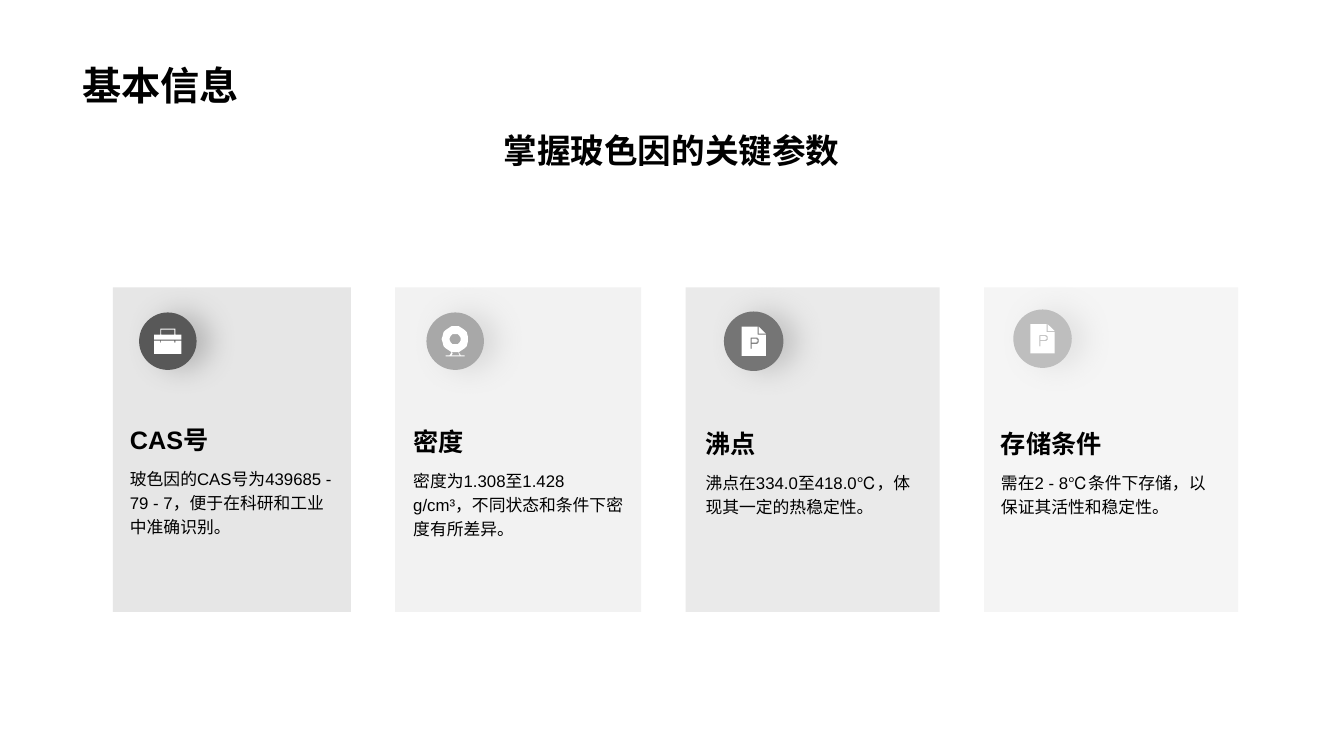
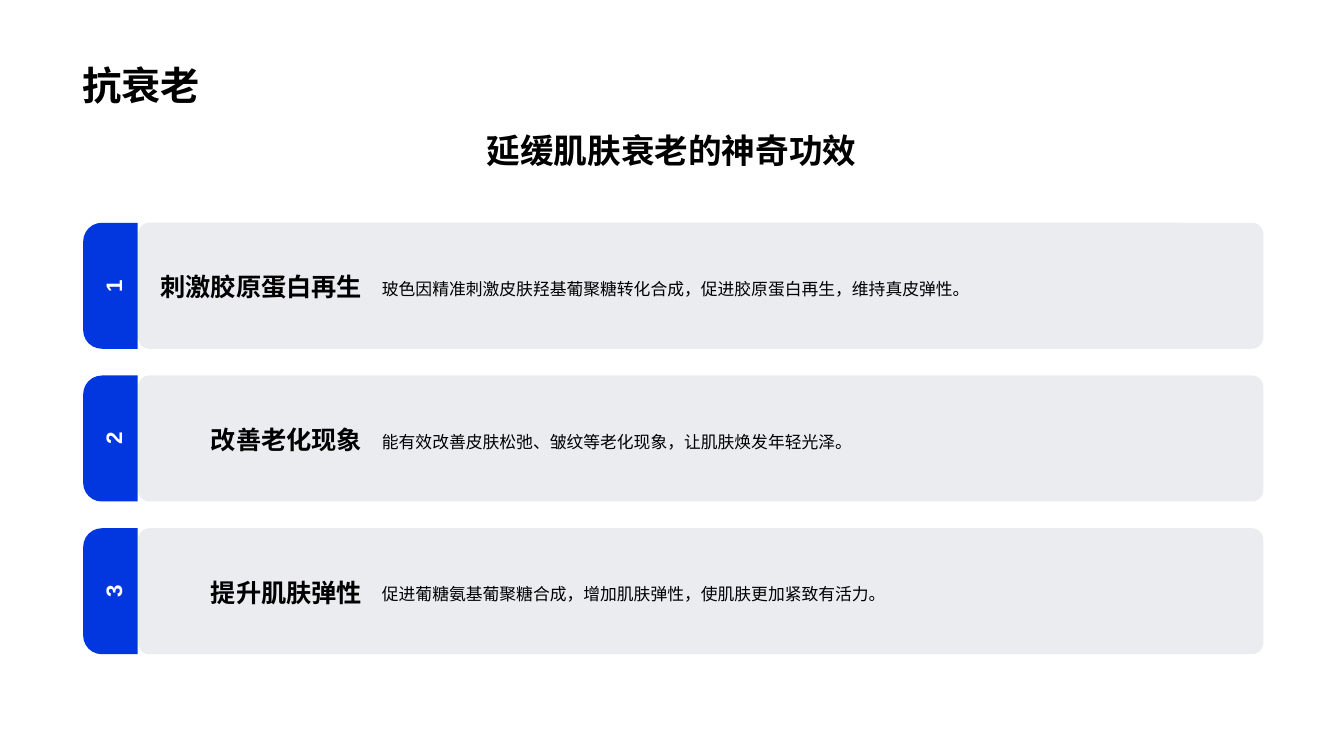
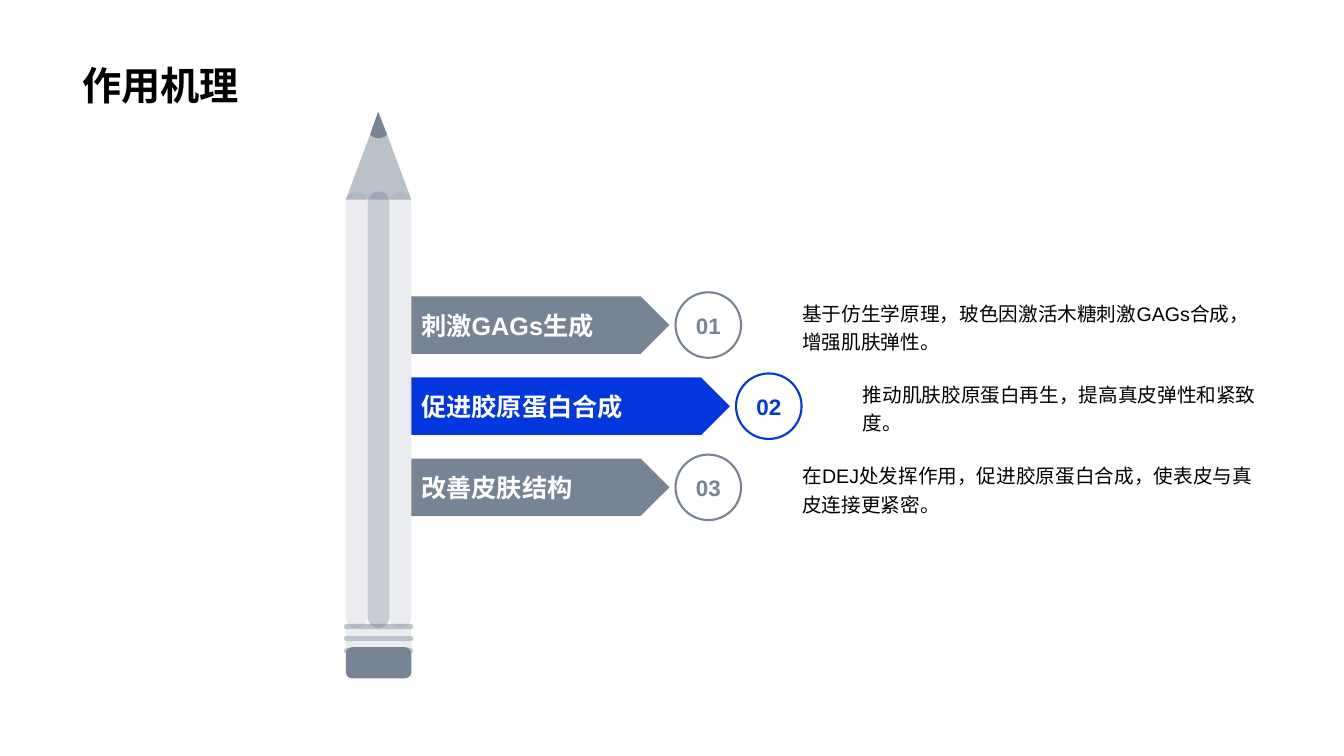
import math

import pptx
import pptx.dml.color
import pptx.enum.shapes
import pptx.enum.text
import pptx.oxml.ns
import pptx.util
from lxml import etree

Inches = pptx.util.Inches
Pt = pptx.util.Pt
SHAPE = pptx.enum.shapes.MSO_SHAPE
ALIGN = pptx.enum.text.PP_ALIGN
ANCHOR = pptx.enum.text.MSO_ANCHOR
qn = pptx.oxml.ns.qn

FONT = "Arial"
COLORS = {
    "text": "000000", "white": "FFFFFF", "blue": "0236DE", "slate": "778495",
    "gray1": "585858", "gray2": "A8A8A8", "gray3": "757575", "gray4": "BEBEBE",
}

# Content
INFO_TITLE, INFO_SUBTITLE = "基本信息", "掌握玻色因的关键参数"
# heading, body, colour, icon, card width, text (dx, top, width), badge (dx, top, size)
INFO_CARDS = [
    ("CAS号", "玻色因的CAS号为439685 - 79 - 7，便于在科研和工业中准确识别。",
     "gray1", "briefcase", 2.36, (0.07, 3.97, 2.22), (0.26, 3.1, 0.57)),
    ("密度", "密度为1.308至1.428 g/cm³，不同状态和条件下密度有所差异。",
     "gray2", "webcam", 2.44, (0.08, 3.99, 2.29), (0.31, 3.1, 0.57)),
    ("沸点", "沸点在334.0至418.0℃，体现其一定的热稳定性。",
     "gray3", "document", 2.52, (0.1, 4.01, 2.34), (0.38, 3.09, 0.59)),
    ("存储条件", "需在2 - 8℃条件下存储，以保证其活性和稳定性。",
     "gray4", "document", 2.52, (0.07, 4.01, 2.37), (0.29, 3.07, 0.58)),
]

AGING_TITLE, AGING_SUBTITLE = "抗衰老", "延缓肌肤衰老的神奇功效"
AGING_ROWS = [
    ("刺激胶原蛋白再生", "玻色因精准刺激皮肤羟基葡聚糖转化合成，促进胶原蛋白再生，维持真皮弹性。"),
    ("改善老化现象", "能有效改善皮肤松弛、皱纹等老化现象，让肌肤焕发年轻光泽。"),
    ("提升肌肤弹性", "促进葡糖氨基葡聚糖合成，增加肌肤弹性，使肌肤更加紧致有活力。"),
]

MECHANISM_TITLE = "作用机理"
# label, body, colour, arrow width
MECHANISM_STEPS = [
    ("刺激GAGs生成", "基于仿生学原理，玻色因激活木糖刺激GAGs合成，增强肌肤弹性。", "slate", 2.56),
    ("促进胶原蛋白合成", "推动肌肤胶原蛋白再生，提高真皮弹性和紧致度。", "blue", 3.16),
    ("改善皮肤结构", "在DEJ处发挥作用，促进胶原蛋白合成，使表皮与真皮连接更紧密。", "slate", 2.56),
]


def arc(cx, cy, r, start, end, steps=24):
    """Points on an arc, angles in degrees."""
    angles = [math.radians(start + (end - start) * i / steps) for i in range(steps + 1)]
    return [(cx + r * math.cos(a), cy + r * math.sin(a)) for a in angles]


# Outlines in hundredths of an inch; inner contours are holes
ICONS = {
    "briefcase": (27, 25, [
        [(6, 12), (6, 14), (7, 14), (7, 12), (20, 12), (20, 14), (21, 14), (21, 12),
         (27, 12), (27, 25), (0, 25), (0, 12)],
        [(21, 0), (21, 6), (27, 6), (27, 11), (0, 11), (0, 6), (6, 6), (6, 0)],
        [(20, 1), (7, 1), (7, 6), (20, 6)],
    ]),
    "webcam": (27, 30, [
        arc(13.5, 13, 13, 0, 360),
        arc(13.5, 13, 5.5, 0, 360),
        [(10, 26), (8, 29), (4, 29), (4, 30), (23, 30), (23, 29), (19, 29), (17, 26),
         (17, 27), (18, 29), (10, 29), (11, 27)],
    ]),
    "document": (24, 29, [
        [(16, 0), (16, 8), (24, 8), (24, 29), (0, 29), (0, 0)],
        [(9, 11), (9, 22), (10, 22), (10, 17)] + arc(14, 14, 3, 90, -90),
        [(10, 12)] + arc(14, 14, 2, -90, 90) + [(10, 16)],
        [(24, 7), (17, 7), (17, 0)],
    ]),
}
PENCIL_TIP = [[(8.5, 0)] + arc(8.5, 12.46, 13.54, 128.9, 51.1)]


# Shared drawing helpers
def rgb(color):
    return pptx.dml.color.RGBColor.from_string(COLORS[color])


def paint(sp, color, alpha=100, line=None):
    sp.fill.solid()
    sp.fill.fore_color.rgb = rgb(color)
    if alpha < 100:
        clr = sp.fill._xPr.find(".//" + qn("a:srgbClr"))
        etree.SubElement(clr, qn("a:alpha"), val=str(alpha * 1000))
    if line:
        sp.line.color.rgb = rgb(line)
        sp.line.width = Pt(1.5)
    else:
        sp.line.fill.background()
    sp.shadow.inherit = False
    return sp


def add_shape(slide, kind, x, y, w, h, color, alpha=100, line=None, adj=()):
    sp = slide.shapes.add_shape(kind, Inches(x), Inches(y), Inches(w), Inches(h))
    for i, value in enumerate(adj):
        sp.adjustments[i] = value
    return paint(sp, color, alpha, line)


def add_outline(slide, contours, x, y, color):
    builder = slide.shapes.build_freeform(*contours[0][0], scale=Inches(0.01))
    for i, points in enumerate(contours):
        if i:
            builder.move_to(*points[0])
        builder.add_line_segments(points[1:], close=True)
    return paint(builder.convert_to_shape(Inches(x), Inches(y)), color)


def add_glow(sp, color):
    effects = sp._element.spPr.find(qn("a:effectLst"))
    shadow = etree.SubElement(effects, qn("a:outerShdw"), blurRad=str(Pt(20)),
                              dist=str(Pt(10)), dir="0", algn="l", rotWithShape="0")
    clr = etree.SubElement(shadow, qn("a:srgbClr"), val=COLORS[color])
    etree.SubElement(clr, qn("a:alpha"), val="32000")


def write(sp, text, size, color="text", bold=False, align=ALIGN.LEFT,
          anchor=ANCHOR.MIDDLE, spacing=None):
    tf = sp.text_frame
    tf.word_wrap = True
    tf.vertical_anchor = anchor
    p = tf.paragraphs[0]
    p.text = text
    p.alignment = align
    if spacing:
        p.line_spacing = spacing
    p.font.name = FONT
    p.font.size = Pt(size)
    p.font.bold = bold
    p.font.color.rgb = rgb(color)


def add_text(slide, x, y, w, h, text, size, **style):
    sp = slide.shapes.add_textbox(Inches(x), Inches(y), Inches(w), Inches(h))
    write(sp, text, size, **style)


def new_slide(prs, title, subtitle=None):
    slide = prs.slides.add_slide(prs.slide_layouts[6])
    add_text(slide, 0.72, 0.14, 11.88, 0.98, title, 28, bold=True, anchor=ANCHOR.BOTTOM)
    if subtitle:
        add_text(slide, 0.72, 1.24, 11.88, 0.5, subtitle, 24, bold=True,
                 align=ALIGN.CENTER, anchor=ANCHOR.TOP)
    return slide


# Slides
def build_info(prs):
    slide = new_slide(prs, INFO_TITLE, INFO_SUBTITLE)
    x, gap, head_h = 1.12, 0.44, 0.59
    for heading, body, color, icon, width, text_box, badge in INFO_CARDS:
        add_shape(slide, SHAPE.RECTANGLE, x, 2.85, width, 3.22, color, 15)

        dx, top, size = badge
        add_glow(add_shape(slide, SHAPE.OVAL, x + dx, top, size, size, color), color)
        icon_w, icon_h, contours = ICONS[icon]
        add_outline(slide, contours, x + dx + (size - icon_w / 100) / 2,
                    top + (size - icon_h / 100) / 2, "white")

        dx, top, text_w = text_box
        add_text(slide, x + dx, top, text_w, head_h, heading, 18, bold=True,
                 anchor=ANCHOR.BOTTOM)
        add_text(slide, x + dx, top + head_h, text_w, 1.37, body, 12,
                 anchor=ANCHOR.TOP, spacing=1.2)
        x += width + gap


def build_aging(prs):
    slide = new_slide(prs, AGING_TITLE, AGING_SUBTITLE)
    row_h, tab_w = 1.25, 0.54
    for i, (heading, body) in enumerate(AGING_ROWS):
        y = 2.21 + 1.515 * i
        add_shape(slide, SHAPE.ROUNDED_RECTANGLE, 1.37, y, 11.16, row_h, "slate", 15,
                  adj=[0.089])
        tab = add_shape(slide, SHAPE.ROUND_2_SAME_RECTANGLE, 0.47,
                        y + (row_h - tab_w) / 2, row_h, tab_w, "blue", adj=[0.344, 0])
        tab.rotation = 270
        write(tab, str(i + 1), 16, "white", bold=True, align=ALIGN.CENTER)
        add_text(slide, 1.48, y + 0.07, 2.21, 1.13, heading, 18, bold=True,
                 align=ALIGN.RIGHT)
        add_text(slide, 3.69, y + 0.07, 8.64, 1.13, body, 12, spacing=1.2)


def draw_pencil(slide, x, w):
    add_shape(slide, SHAPE.ROUNDED_RECTANGLE, x, 6.42, w, 0.31, "slate", adj=[0.2])
    add_shape(slide, SHAPE.ISOSCELES_TRIANGLE, x, 1.11, w, 0.87, "slate", 50)
    for i, alpha in enumerate((15, 40, 15)):
        add_shape(slide, SHAPE.ROUNDED_RECTANGLE, x + w / 3 * i, 1.9, w / 3, 4.33,
                  "slate", alpha, adj=[0.5])
    add_outline(slide, PENCIL_TIP, x + w / 2 - 0.085, 1.11, "slate")
    add_shape(slide, SHAPE.RECTANGLE, x, 6.19, w, 0.29, "slate", 15)
    for i in range(3):
        add_shape(slide, SHAPE.ROUNDED_RECTANGLE, x - 0.02, 6.19 + 0.12 * i, w + 0.04,
                  0.05, "slate", 40, adj=[0.5])


def build_mechanism(prs):
    slide = new_slide(prs, MECHANISM_TITLE)
    pencil_x, pencil_w, ring = 3.43, 0.65, 0.65
    arrow_x, text_right = pencil_x + pencil_w, 12.6
    for i, (label, body, color, width) in enumerate(MECHANISM_STEPS):
        y = 2.94 + 0.805 * i
        arrow = add_shape(slide, SHAPE.PENTAGON, arrow_x, y, width, 0.57, color)
        write(arrow, label, 18, "white", bold=True)

        ring_x = arrow_x + width + 0.06
        number = add_shape(slide, SHAPE.OVAL, ring_x, y - 0.04, ring, ring, "white",
                           line=color)
        number.text_frame.margin_left = number.text_frame.margin_right = 0
        write(number, f"{i + 1:02d}", 16, color, bold=True, align=ALIGN.CENTER)

        text_x = ring_x + 1.16
        add_text(slide, text_x, y - 0.03, text_right - text_x, 0.64, body, 14, spacing=1.2)
    draw_pencil(slide, pencil_x, pencil_w)


def main():
    prs = pptx.Presentation()
    prs.slide_width, prs.slide_height = Inches(13.33), Inches(7.5)
    build_info(prs)
    build_aging(prs)
    build_mechanism(prs)
    prs.save("out.pptx")


if __name__ == "__main__":
    main()
